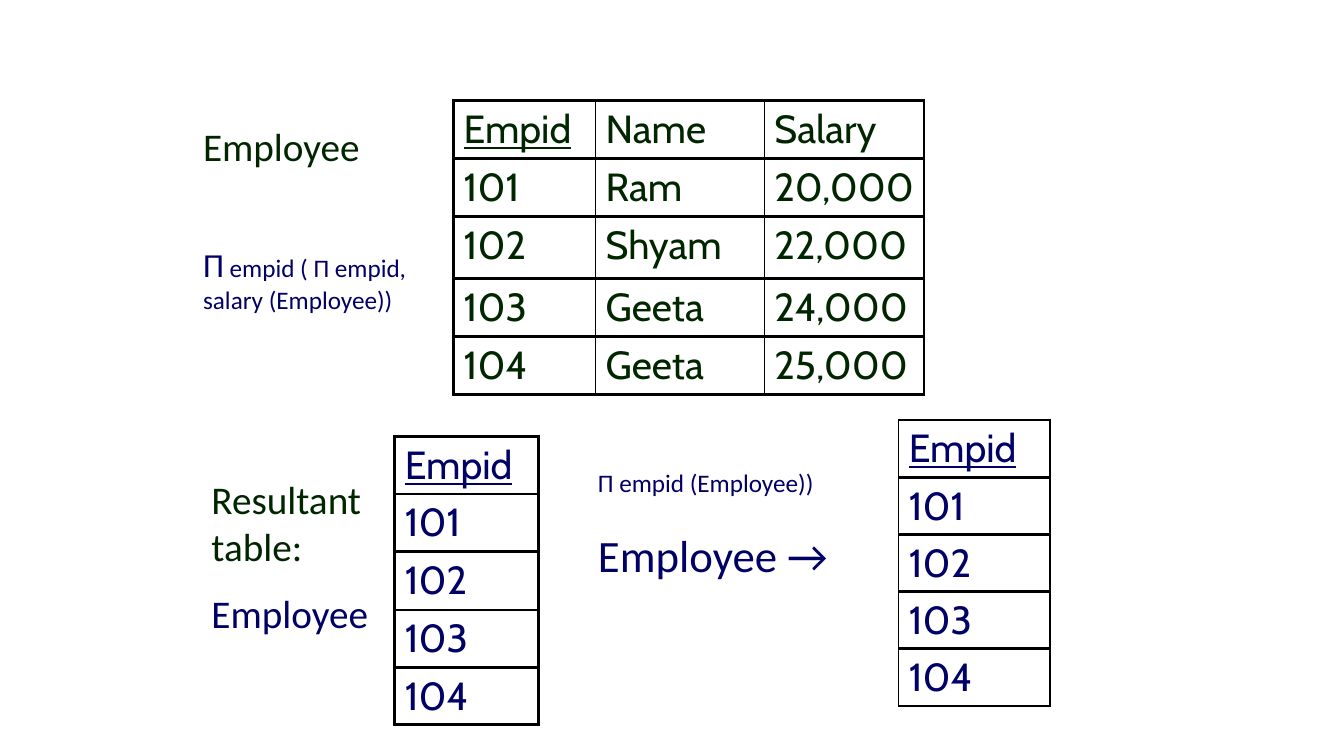
from lxml import etree
from pptx import Presentation
from pptx.dml.color import RGBColor
from pptx.oxml.ns import qn
from pptx.util import Pt

GREEN = RGBColor(0x00, 0x26, 0x00)
NAVY = RGBColor(0x00, 0x00, 0x66)
BLACK = RGBColor(0x00, 0x00, 0x00)

TABLE_FONT = "Cabin"
LABEL_FONT = "Calibri"
THIN, THICK = 1, 2.25
ROW_HEIGHT = 40.8

EMPLOYEES = [
    ("Empid", "Name", "Salary"),
    ("101", "Ram", "20,000"),
    ("102", "Shyam", "22,000"),
    ("103", "Geeta", "24,000"),
    ("104", "Geeta", "25,000"),
]
EMPLOYEE_IDS = [row[:1] for row in EMPLOYEES]


def format_font(font, name, size, color):
    font.name = name
    font.size = Pt(size)
    font.color.rgb = color


def set_borders(cell, left, right):
    """Draw the cell's four sides; top and bottom are always thick."""
    properties = cell._tc.get_or_add_tcPr()
    for side, width in (("L", left), ("R", right), ("T", THICK), ("B", THICK)):
        line = etree.SubElement(properties, qn(f"a:ln{side}"), w=str(Pt(width)))
        fill = etree.SubElement(line, qn("a:solidFill"))
        etree.SubElement(fill, qn("a:srgbClr"), val=str(BLACK))


def add_grid(slide, left, top, rows, widths, heights, color, rules):
    """Add a table; rules are the widths of its vertical lines, left to right."""
    frame = slide.shapes.add_table(len(rows), len(widths), Pt(left), Pt(top),
                                   Pt(sum(widths)), Pt(sum(heights)))
    table = frame.table
    table.first_row = False
    table.horz_banding = False
    for column, width in zip(table.columns, widths):
        column.width = Pt(width)
    for row, height, values in zip(table.rows, heights, rows):
        row.height = Pt(height)
        for index, (cell, value) in enumerate(zip(row.cells, values)):
            cell.text = value
            para = cell.text_frame.paragraphs[0]
            format_font(para.font, TABLE_FONT, 28, color)
            if value == "Empid":
                para.runs[0].font.underline = True
            set_borders(cell, rules[index], rules[index + 1])
            cell.fill.background()


def add_label(slide, left, top, width, height, lines):
    """Add a text box; each line is (text, size, color, space before)."""
    box = slide.shapes.add_textbox(Pt(left), Pt(top), Pt(width), Pt(height))
    frame = box.text_frame
    frame.word_wrap = True
    for index, (text, size, color, space) in enumerate(lines):
        para = frame.add_paragraph() if index else frame.paragraphs[0]
        para.space_before = Pt(space)
        format_font(para.font, LABEL_FONT, size, color)
        para.add_run().text = text
    return box


def main():
    deck = Presentation()
    deck.slide_width, deck.slide_height = Pt(960), Pt(540)
    slide = deck.slides.add_slide(deck.slide_layouts[6])

    add_grid(slide, 324, 72, EMPLOYEES, (101.5, 120.5, 114),
             (41.2, 41.2, 44.4, 41.8, 41.2), GREEN, (THICK, THIN, THIN, THICK))
    query = add_label(slide, 138, 84, 186, 199, [
        ("Employee", 28, GREEN, 0),
        ("Π", 24, NAVY, 53),
    ])
    arguments = query.text_frame.paragraphs[1].add_run()
    arguments.text = " empid ( Π empid, salary (Employee))"
    arguments.font.size = Pt(18)

    add_grid(slide, 282, 312, EMPLOYEE_IDS, (102.5,),
             (ROW_HEIGHT, ROW_HEIGHT, 42, ROW_HEIGHT, ROW_HEIGHT),
             NAVY, (THICK, THICK))
    add_label(slide, 144, 336, 138, 125, [
        ("Resultant table:", 28, GREEN, 0),
        ("Employee", 28, NAVY, 14),
    ])

    add_label(slide, 420, 330, 204, 90, [
        ("Π empid (Employee))", 18, NAVY, 0),
        ("Employee →", 32, NAVY, 22),
    ])
    add_grid(slide, 642, 300, EMPLOYEE_IDS, (108,),
             [ROW_HEIGHT] * len(EMPLOYEE_IDS), NAVY, (THIN, THIN))

    deck.save("out.pptx")


if __name__ == "__main__":
    main()
